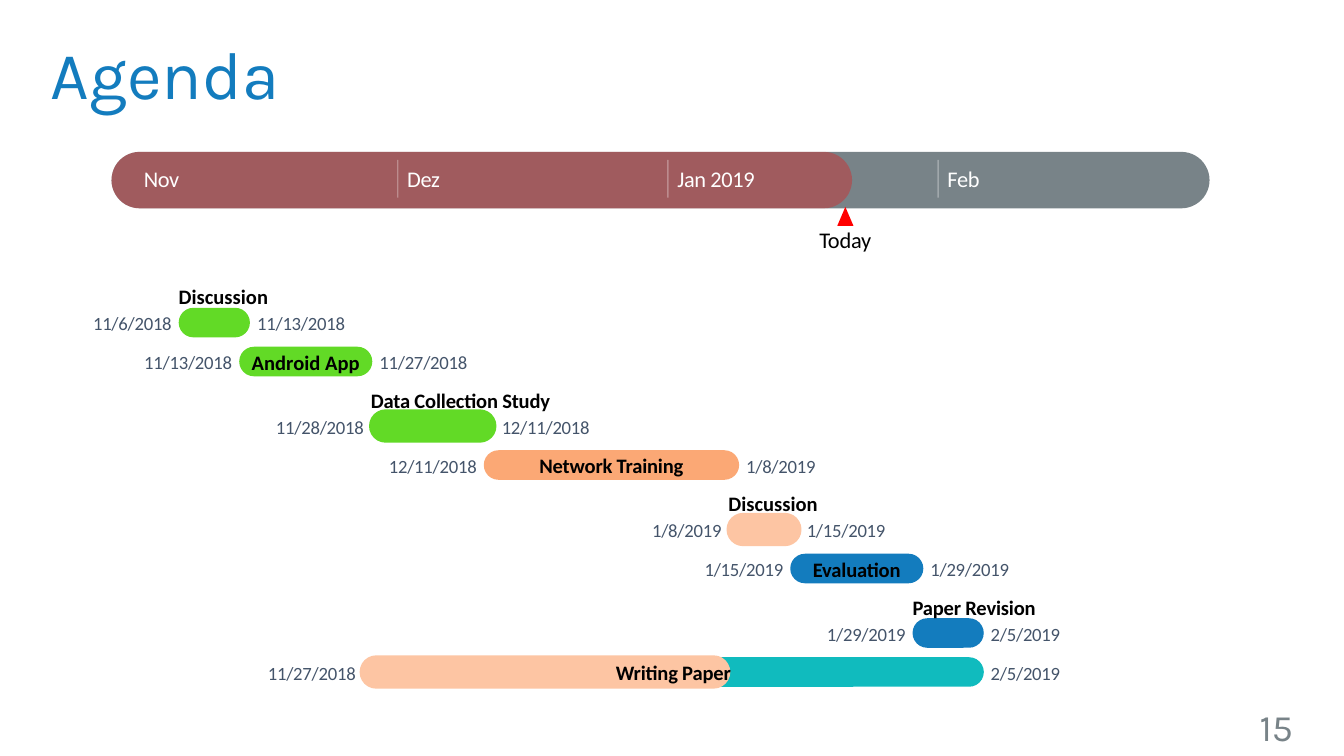
import pptx
import pptx.util
import pptx.dml.color
import pptx.enum.shapes
import pptx.enum.text
import pptx.oxml.ns
from lxml import etree

SHAPE = pptx.enum.shapes.MSO_SHAPE
ALIGN = pptx.enum.text.PP_ALIGN
ANCHOR = pptx.enum.text.MSO_ANCHOR
qn = pptx.oxml.ns.qn

THEME = {
    "heading": "Karla", "body": "Calibri",
    "blue": "137CBE", "gray": "788388", "red": "FF0000", "white": "FFFFFF",
    "black": "000000", "slate": "44546A", "green": "62DA26",
    "orange": "FBA875", "peach": "FDC5A3", "teal": "10BBBE",
    "title_size": 36, "number_size": 20, "scale_size": 12,
    "task_size": 11, "date_size": 10,
}

MONTHS = [("Nov", "11/1/2018", 27), ("Dez", "12/1/2018", 25),
          ("Jan 2019", "1/1/2019", 60), ("Feb", "2/1/2019", 24)]
TASKS = [
    ("Discussion", "11/6/2018", "11/13/2018", "green", False, 67, 0),
    ("Android App", "11/13/2018", "11/27/2018", "green", False, 81, 0),
    ("Data Collection Study", "11/28/2018", "12/11/2018", "green", True, 136, -10),
    ("Network Training", "12/11/2018", "1/8/2019", "orange", False, 110, -10),
    ("Discussion", "1/8/2019", "1/15/2019", "peach", True, 67, 0),
    ("Evaluation", "1/15/2019", "1/29/2019", "blue", False, 67, -10),
    ("Paper Revision", "1/29/2019", "2/5/2019", "blue", False, 94, -10),
    ("Writing Paper", "11/27/2018", "2/5/2019", "teal", False, 88, -10),
]
MONTH_OFFSET = {"11": -6, "12": 24, "1": 55, "2": 86}
PX = 9144
SLIDE_W, SLIDE_H = 1000, 562.5
ORIGIN, DAY = 133, 6.5
ROW_TOP, PAIR_STEP, ROW_STEP, BAR_H = 229, 77, 29, 22
GAP, DATE_H, TASK_H = 4, 17, 19


def px(*lengths):
    return [pptx.util.Emu(round(n * PX)) for n in lengths]


def rgb(name):
    return pptx.dml.color.RGBColor.from_string(THEME[name])


def date_x(date, extra=0):
    month, day, year = date.split("/")
    return round(ORIGIN + DAY * (MONTH_OFFSET[month] + int(day) + extra))


def set_alpha(fill_parent, percent):
    color = next(fill_parent.iter(qn("a:srgbClr")))
    etree.SubElement(color, qn("a:alpha")).set("val", str(percent * 1000))


def add_shape(kind, x, y, w, h, color, outlined=False, alpha=None):
    sp = shapes.add_shape(kind, *px(x, y, w, h))
    sp.shadow.inherit = False
    sp.fill.solid()
    sp.fill.fore_color.rgb = rgb(color)
    if kind == SHAPE.ROUNDED_RECTANGLE:
        sp.adjustments[0] = 0.5
    if alpha:
        set_alpha(sp._element.spPr, alpha)
    if outlined:
        sp.line.color.rgb = rgb(color)
        sp.line.width = pptx.util.Pt(2)
    else:
        sp.line.fill.background()


def add_text(text, x, y, w, h, size, color, align=ALIGN.LEFT, font="body",
             bold=False, wrap=True, spacing=0, inset=False, anchor=ANCHOR.MIDDLE):
    tf = shapes.add_textbox(*px(x, y, w, h)).text_frame
    tf.word_wrap = wrap
    tf.vertical_anchor = anchor
    if not inset:
        tf.margin_left = tf.margin_right = tf.margin_top = tf.margin_bottom = 0
    p = tf.paragraphs[0]
    p.alignment = align
    r = p.add_run()
    r.text = text
    if spacing:
        r._r.get_or_add_rPr().set("spc", str(spacing))
    p.font.name = THEME[font]
    p.font.size = pptx.util.Pt(THEME[size])
    p.font.bold = bold
    p.font.color.rgb = rgb(color)


def add_tick(x):
    line = shapes.add_connector(pptx.enum.shapes.MSO_CONNECTOR.STRAIGHT,
                                *px(x, 119, x, 147))
    line.line.color.rgb = rgb("white")
    line.line.width = pptx.util.Pt(0.75)
    spPr = line._element.spPr
    set_alpha(spPr, 30)
    etree.SubElement(spPr, qn("a:effectLst"))


def add_timescale():
    add_shape(SHAPE.ROUNDED_RECTANGLE, 83, 113, 817, 42, "gray")
    add_shape(SHAPE.ROUNDED_RECTANGLE, 83, 113, 551, 42, "red", alpha=30)
    add_shape(SHAPE.ISOSCELES_TRIANGLE, 623, 154, 12, 14, "red")
    add_text("Today", 608, 168, 42, 20, "scale_size", "black", ALIGN.CENTER, spacing=-10)
    for i, (month, start, w) in enumerate(MONTHS):
        x = date_x(start)
        if i:
            add_tick(x)
        add_text(month, x + 7, 123, w, 20, "scale_size", "white", wrap=False, spacing=-20)


def add_date(date, y, left=None, right=None):
    w = 7 * len(date) - 2
    x = right - w if left is None else left
    add_text(date, x, y, w, DATE_H, "date_size", "slate", ALIGN.CENTER, spacing=-10)


def add_task(i, name, start, end, color, outlined, name_w, spacing):
    pair, inside = divmod(i, 2)
    y = ROW_TOP + pair * PAIR_STEP + inside * ROW_STEP
    left, right = date_x(start), date_x(end, 1) + 1
    add_shape(SHAPE.ROUNDED_RECTANGLE, left, y, right - left, BAR_H, color, outlined)
    if name == "Writing Paper":
        add_shape(SHAPE.ROUNDED_RECTANGLE, left - 1, y, 273, BAR_H, "peach", True)
    add_date(start, y + 3, right=left - GAP)
    add_date(end, y + 3, left=right + GAP)
    if inside:
        name_x, name_y, align = (left + right - name_w) / 2, y + 2, ALIGN.CENTER
    else:
        name_x, name_y, align = left, y - 18, ALIGN.LEFT
    add_text(name, name_x, name_y, name_w, TASK_H, "task_size", "black", align,
             bold=True, spacing=spacing)


prs = pptx.Presentation()
prs.slide_width, prs.slide_height = px(SLIDE_W, SLIDE_H)
shapes = prs.slides.add_slide(prs.slide_layouts[6]).shapes

add_text("Agenda", 28, 19, 945, 90, "title_size", "blue", font="heading",
         inset=True, anchor=ANCHOR.TOP)
add_timescale()
for i, task in enumerate(TASKS):
    add_task(i, *task)
add_text("15", 676, 523, 296, 35, "number_size", "gray", ALIGN.RIGHT,
         font="heading", inset=True)

prs.save("out.pptx")
